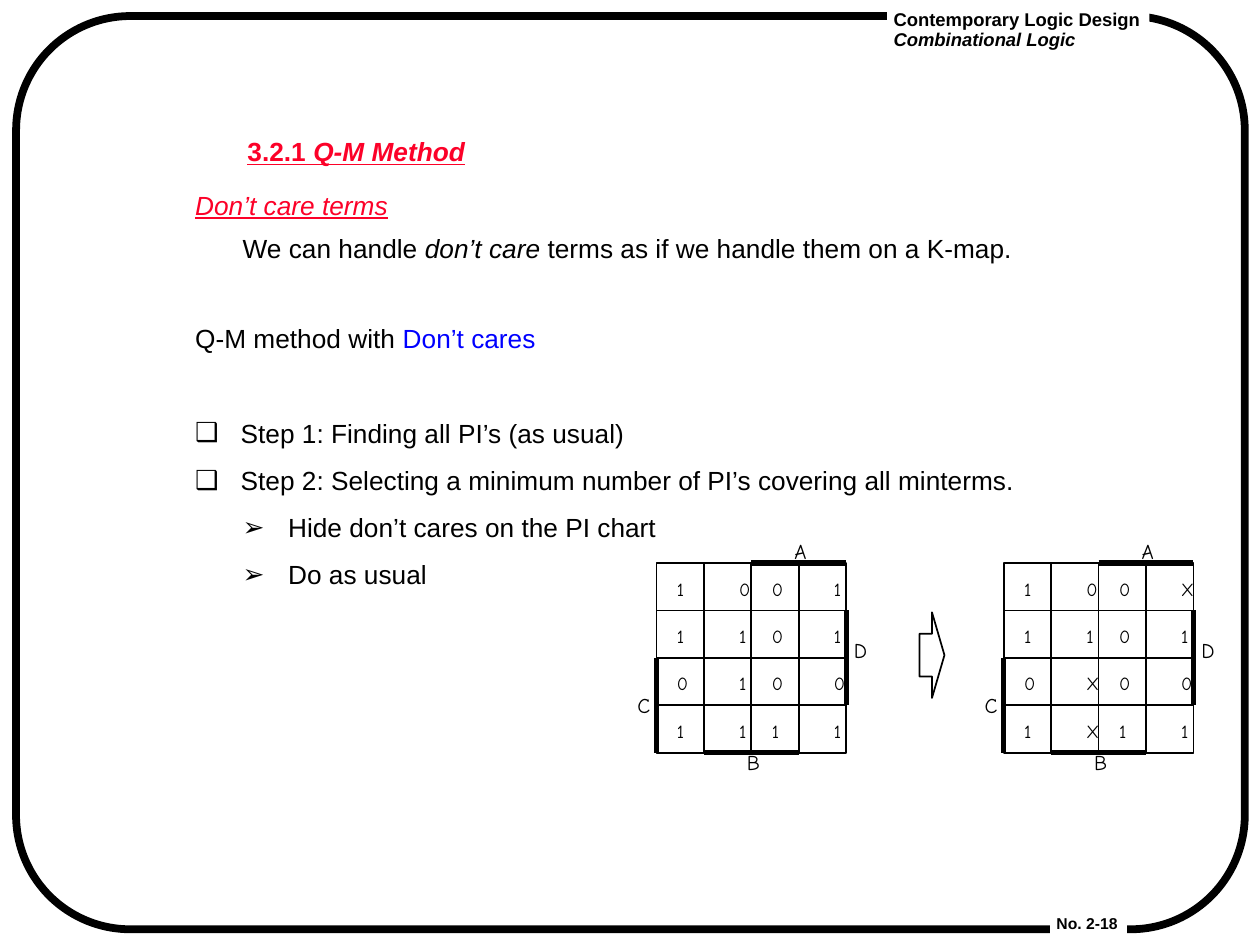
from lxml.etree import SubElement
from pptx import Presentation
from pptx.dml.color import RGBColor
from pptx.enum.shapes import MSO_CONNECTOR, MSO_SHAPE
from pptx.enum.text import MSO_AUTO_SIZE, PP_ALIGN
from pptx.oxml.ns import qn
from pptx.util import Cm, Pt

BLACK = RGBColor(0x00, 0x00, 0x00)
WHITE = RGBColor(0xFF, 0xFF, 0xFF)
RED = RGBColor(0xFC, 0x01, 0x28)
BLUE = RGBColor(0x00, 0x00, 0xFF)
HAND_FONT = "Comic Neue"
BODY_SIZE = 15.2
QUADRANT = 1.94
CELL = QUADRANT / 2

# Bar ends in cells, then its label and the label's place in the map in cm
MAP_BARS = [
    ((2, 0), (4, 0), "A", (2.77, -0.46)),
    ((4, 1), (4, 3), "D", (3.99, 1.55)),
    ((1, 4), (3, 4), "B", (1.8, 3.84)),
    ((0, 2), (0, 4), "C", (-0.44, 2.68)),
]


def write(frame, text, new=True, size=BODY_SIZE, color=BLACK, font="Arial",
          bold=False, italic=False, underline=False, level=0, bullet=None,
          left=0, hanging=0, spacing=1.0, before=0, tab=None):
    """Add a run, in a new paragraph unless new is False."""
    paragraph = frame.paragraphs[-1]
    if new:
        if paragraph.runs:
            paragraph = frame.add_paragraph()
        paragraph.alignment = PP_ALIGN.LEFT
        paragraph.level = level
        paragraph.line_spacing = spacing
        paragraph.space_before = Pt(before)
        properties = paragraph._p.get_or_add_pPr()
        properties.set("marL", str(Cm(left)))
        properties.set("indent", str(Cm(-hanging)))
        if bullet:
            SubElement(properties, qn("a:buChar"), char=bullet)
        else:
            SubElement(properties, qn("a:buNone"))
        if tab:
            stops = SubElement(properties, qn("a:tabLst"))
            SubElement(stops, qn("a:tab"), pos=str(Cm(tab)), algn="l")
    run = paragraph.add_run()
    run.text = text
    run.font.name = font
    run.font.size = Pt(size)
    run.font.color.rgb = color
    run.font.bold = bold
    run.font.italic = italic
    run.font.underline = underline


def set_frame(shape, side=0.13, edge=0.05, wrap=True):
    frame = shape.text_frame
    frame.auto_size = MSO_AUTO_SIZE.NONE
    frame.word_wrap = wrap
    frame.margin_left = frame.margin_right = Cm(side)
    frame.margin_top = frame.margin_bottom = Cm(edge)
    return frame


def place(shape, left, top, width, height):
    shape.left, shape.top = Cm(left), Cm(top)
    shape.width, shape.height = Cm(width), Cm(height)
    return shape


def add_box(slide, kind, box, fill=None, line_width=None):
    shape = slide.shapes.add_shape(kind, *map(Cm, box))
    shape.shadow.inherit = False
    if fill is None:
        shape.fill.background()
    else:
        shape.fill.solid()
        shape.fill.fore_color.rgb = fill
    if line_width is None:
        shape.line.fill.background()
    else:
        shape.line.color.rgb = BLACK
        shape.line.width = Pt(line_width)
    return shape


def add_line(slide, x1, y1, x2, y2, width):
    line = slide.shapes.add_connector(MSO_CONNECTOR.STRAIGHT, *map(Cm, (x1, y1, x2, y2)))
    line.line.color.rgb = BLACK
    line.line.width = Pt(width)
    SubElement(line._element.spPr, qn("a:effectLst"))
    return line


def add_note(slide, *box):
    return set_frame(slide.shapes.add_textbox(*map(Cm, box)), 0.05, 0.05, wrap=False)


def add_page_frame(slide, left, top, width, height):
    border = add_box(slide, MSO_SHAPE.ROUNDED_RECTANGLE,
                     (left, top, width, height), line_width=4.5)
    border.adjustments[0] = 0.125

    # Course name and page number interrupt the border
    course = set_frame(add_box(slide, MSO_SHAPE.RECTANGLE,
                               (left + width - 7.31, top - 0.18, 5.36, 0.94), WHITE),
                       wrap=False)
    write(course, "Contemporary Logic Design", size=10.7, bold=True, spacing=0.9)
    write(course, "Combinational Logic", size=10.7, bold=True, italic=True, spacing=0.9)
    page = set_frame(add_box(slide, MSO_SHAPE.RECTANGLE,
                             (left + width - 3.98, top + height - 0.35, 1.57, 0.48), WHITE),
                     wrap=False)
    write(page, "No. 2-18", size=9.1, bold=True, spacing=0.97)


def add_heading(slide, *box):
    heading = set_frame(place(slide.shapes.title, *box), 0.18, 0.08, wrap=False)
    style = dict(color=RED, bold=True, underline=True)
    write(heading, "3.2.1 ", spacing=0.85, **style)
    write(heading, "Q-M Method", new=False, italic=True, **style)


def add_intro(slide, *box):
    intro = set_frame(place(slide.placeholders[1], *box))
    write(intro, "Don’t care terms", color=RED, italic=True, underline=True,
          left=0.61, hanging=0.61, spacing=0.85)
    write(intro, "We can handle ", level=1, left=1.58, hanging=0.61,
          spacing=0.85, before=9.6)
    write(intro, "don’t care ", new=False, italic=True)
    write(intro, "terms as if we handle them on a K-map.", new=False)


def add_steps(slide, *box):
    steps = set_frame(place(slide.placeholders[2], *box))
    write(steps, "Q-M method with ")
    write(steps, "Don’t cares", new=False, color=BLUE)
    for text, level, before in [
        ("Step 1: Finding all PI’s (as usual)", 0, 37),
        ("Step 2: Selecting a minimum number of PI’s covering all minterms.", 0, 9.1),
        ("Hide don’t cares on the PI chart", 1, 9.1),
        ("Do as usual", 1, 9.1),
    ]:
        write(steps, text, level=level, bullet="❑➢"[level],
              left=0.93 + 0.97 * level, hanging=0.93, before=before)


def add_quadrant(slide, left, top, rows):
    """Four cells: an outline, two dividers and two rows of values."""
    add_box(slide, MSO_SHAPE.RECTANGLE, (left, top, QUADRANT, QUADRANT), line_width=1)
    add_line(slide, left + CELL, top, left + CELL, top + QUADRANT, 1)
    add_line(slide, left + QUADRANT, top + CELL, left, top + CELL, 1)
    values = add_note(slide, left + 0.37, top + 0.22, 1.75, 1.73)
    for number, row in enumerate(rows):
        write(values, "\t".join(row), size=10.7, font=HAND_FONT, tab=1.26,
              spacing=Pt(13.7), before=13.7 * number)


def add_karnaugh_map(slide, left, top, rows):
    for r in (0, 2):
        for c in (0, 2):
            add_quadrant(slide, left + c * CELL, top + r * CELL,
                         [row[c:c + 2] for row in rows[r:r + 2]])

    # Variable bars and labels
    for (c1, r1), (c2, r2), name, (x, y) in MAP_BARS:
        add_line(slide, left + c1 * CELL, top + r1 * CELL,
                 left + c2 * CELL, top + r2 * CELL, 3)
        label = add_note(slide, left + x, top + y, 1.24, 0.69)
        write(label, name, size=12.2, font=HAND_FONT, spacing=Pt(12.2))


def main():
    deck = Presentation()
    deck.slide_width, deck.slide_height = Cm(25.76), Cm(19.3)
    slide = deck.slides.add_slide(deck.slide_layouts[3])
    add_page_frame(slide, 0.33, 0.33, 25.12, 18.67)
    add_heading(slide, 4.88, 2.8, 4.85, 0.69)
    add_intro(slide, 3.86, 3.91, 18.14, 1.52)
    add_steps(slide, 3.86, 6.53, 18.21, 5.61)
    add_karnaugh_map(slide, 13.42, 11.51, ["1001", "1101", "0100", "1111"])
    add_karnaugh_map(slide, 20.52, 11.51, ["100X", "1101", "0X00", "1X11"])
    add_box(slide, MSO_SHAPE.RIGHT_ARROW, (18.8, 12.52, 0.51, 1.75), WHITE, 1)
    deck.save("out.pptx")


if __name__ == "__main__":
    main()
